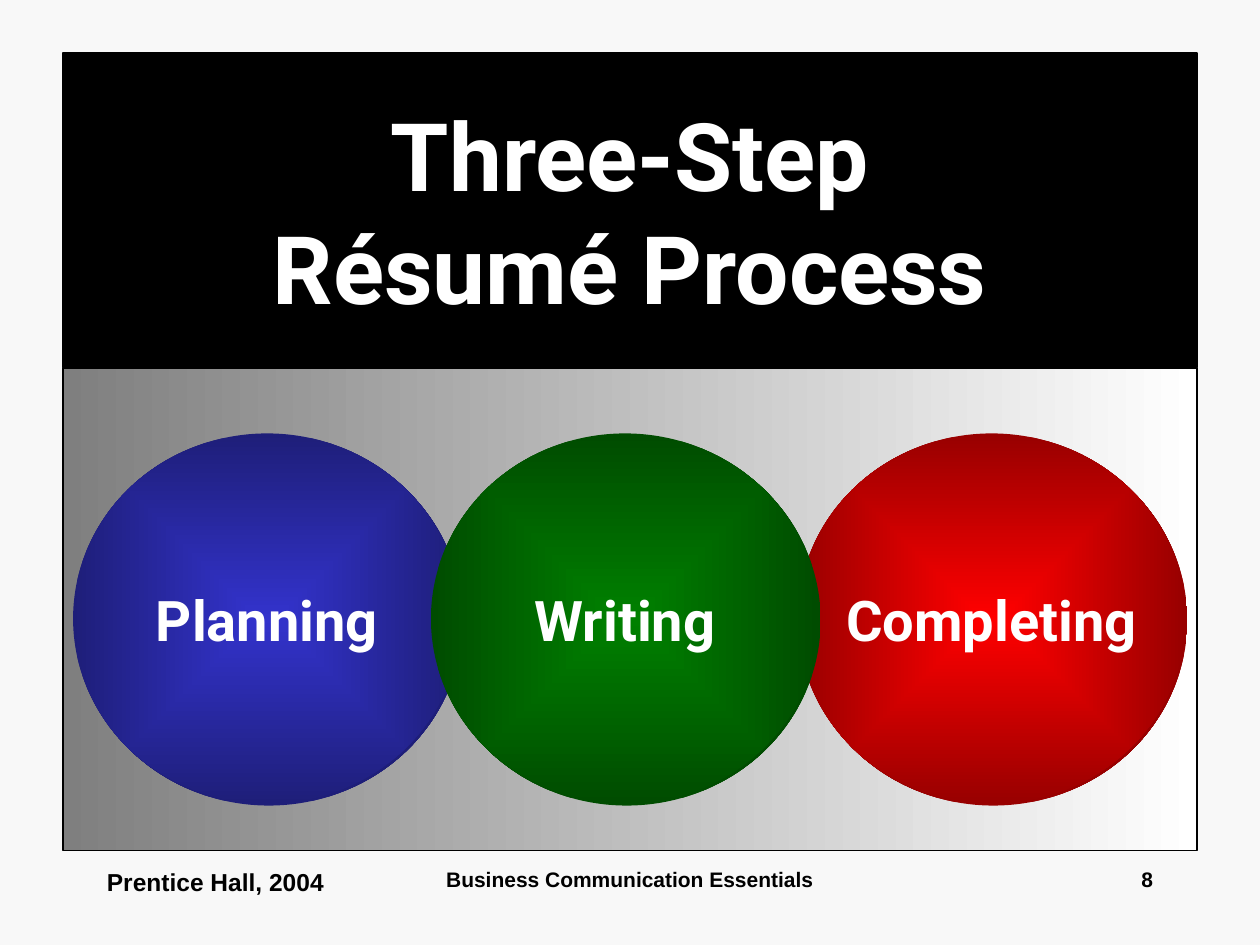
from lxml import etree
from pptx import Presentation
from pptx.dml.color import RGBColor
from pptx.enum.shapes import MSO_SHAPE
from pptx.enum.text import MSO_ANCHOR, PP_ALIGN
from pptx.oxml import parse_xml
from pptx.oxml.ns import nsdecls, qn
from pptx.util import Inches, Pt

STEPS = [
    ("Planning", 0.58, "3333CC", "1E1E79"),
    ("Completing", 6.33, "FF0000", "980000"),
    ("Writing", 3.42, "008000", "004C00"),
]
FOOTERS = [
    ("Business Communication Essentials", 3.42, 3.16, 12, PP_ALIGN.CENTER),
    ("8", 7.17, 2.08, 12, PP_ALIGN.RIGHT),
    ("Prentice Hall, 2004", 0.75, 2.08, 14, PP_ALIGN.LEFT),
]


def color(value):
    return RGBColor.from_string(value)


def write_text(shape, text, *, size, font="Roboto", fill="FFFFFF",
               align=PP_ALIGN.CENTER, anchor=MSO_ANCHOR.MIDDLE, wrap=True):
    frame = shape.text_frame
    frame.word_wrap = wrap
    frame.vertical_anchor = anchor
    paragraph = frame.paragraphs[0]
    paragraph.text = text
    paragraph.alignment = align
    paragraph.font.name = font
    paragraph.font.size = Pt(size)
    paragraph.font.bold = True
    paragraph.font.color.rgb = color(fill)


def add_shape(shapes, kind, left, top, width, height):
    shape = shapes.add_shape(
        kind, Inches(left), Inches(top), Inches(width), Inches(height))
    shape.shadow.inherit = False
    return shape


def outline(shape, value, width):
    shape.line.color.rgb = color(value)
    shape.line.width = Pt(width)


def fill_gradient(shape, start, end):
    shape.fill.gradient()
    shape.fill.gradient_angle = 180
    for stop, value in zip(shape.fill.gradient_stops, (start, end)):
        stop.color.rgb = color(value)


def make_gradient_rectangular(shape):
    gradient = shape.element.spPr.find(qn("a:gradFill"))
    gradient.replace(gradient.find(qn("a:lin")), parse_xml(
        f'<a:path {nsdecls("a")} path="rect">'
        '<a:fillToRect l="50000" t="50000" r="50000" b="50000"/></a:path>'))


def add_shadow(shape, value):
    effects = shape.element.spPr.find(qn("a:effectLst"))
    shadow = etree.SubElement(effects, qn("a:outerShdw"), dist=str(Pt(1.4)),
                              dir="2700000", algn="ctr", rotWithShape="0")
    etree.SubElement(shadow, qn("a:srgbClr"), val=value)


def add_title(slide):
    title = add_shape(slide.shapes, MSO_SHAPE.RECTANGLE, 0.5, 0.42, 9, 2.5)
    title.fill.solid()
    title.fill.fore_color.rgb = color("000000")
    outline(title, "000000", 0.75)
    write_text(title, "Three-Step\vRésumé Process", size=54)


def add_panel(slide):
    panel = add_shape(slide.shapes, MSO_SHAPE.RECTANGLE, 0.5, 2.92, 9, 3.83)
    fill_gradient(panel, "FFFFFF", "7F7F7F")
    outline(panel, "000000", 1)


def add_step(group, label, left, center, edge):
    circle = add_shape(group.shapes, MSO_SHAPE.OVAL, left, 3.44, 3.08, 2.94)
    fill_gradient(circle, center, edge)
    make_gradient_rectangular(circle)
    circle.line.fill.background()
    add_shadow(circle, edge)
    write_text(circle, label, size=32, wrap=False)


def add_footer(slide, text, left, width, size, align):
    box = slide.shapes.add_textbox(
        Inches(left), Inches(6.83), Inches(width), Inches(0.49))
    write_text(box, text, size=size, font="Arial", fill="000000",
               align=align, anchor=MSO_ANCHOR.TOP)


def main():
    presentation = Presentation()
    presentation.slide_width = Inches(10)
    presentation.slide_height = Inches(7.5)
    slide = presentation.slides.add_slide(presentation.slide_layouts[6])
    slide.background.fill.solid()
    slide.background.fill.fore_color.rgb = color("F8F8F8")
    add_title(slide)
    add_panel(slide)
    group = slide.shapes.add_group_shape()
    for step in STEPS:
        add_step(group, *step)
    for footer in FOOTERS:
        add_footer(slide, *footer)
    presentation.save("out.pptx")


if __name__ == "__main__":
    main()
